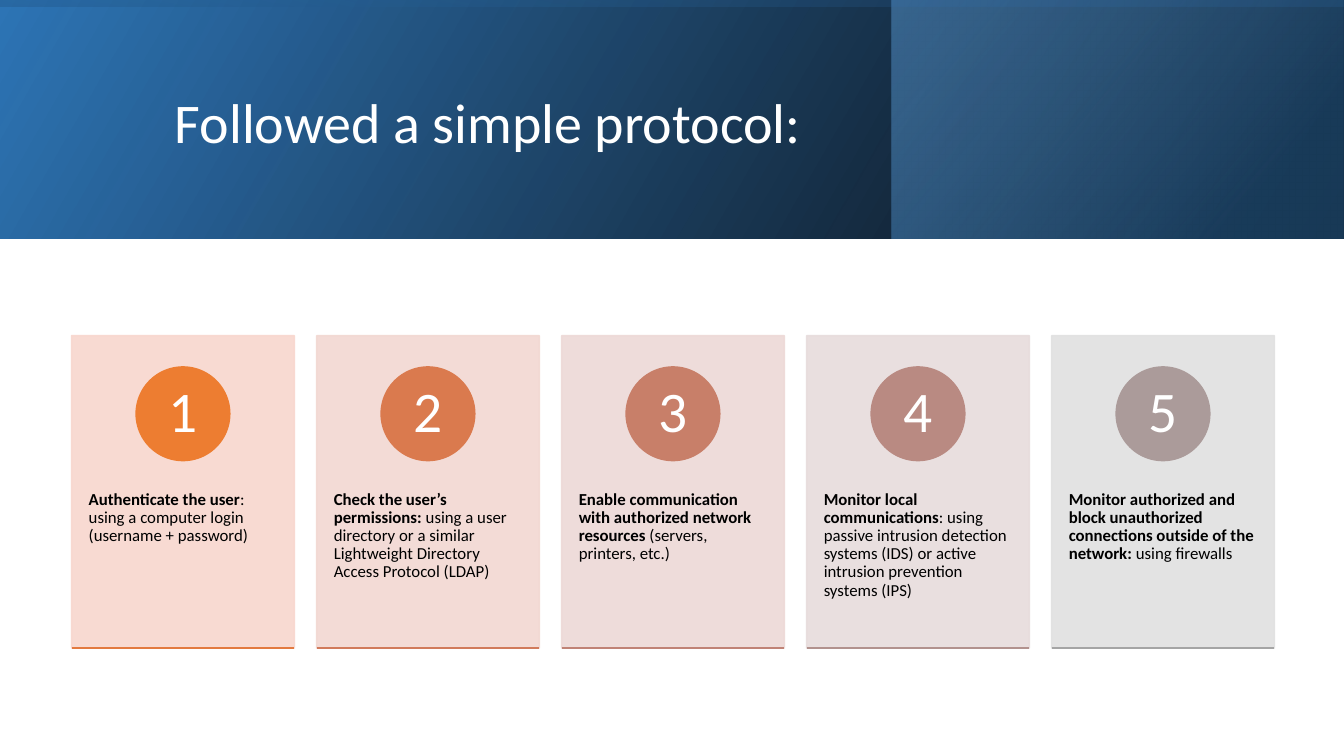
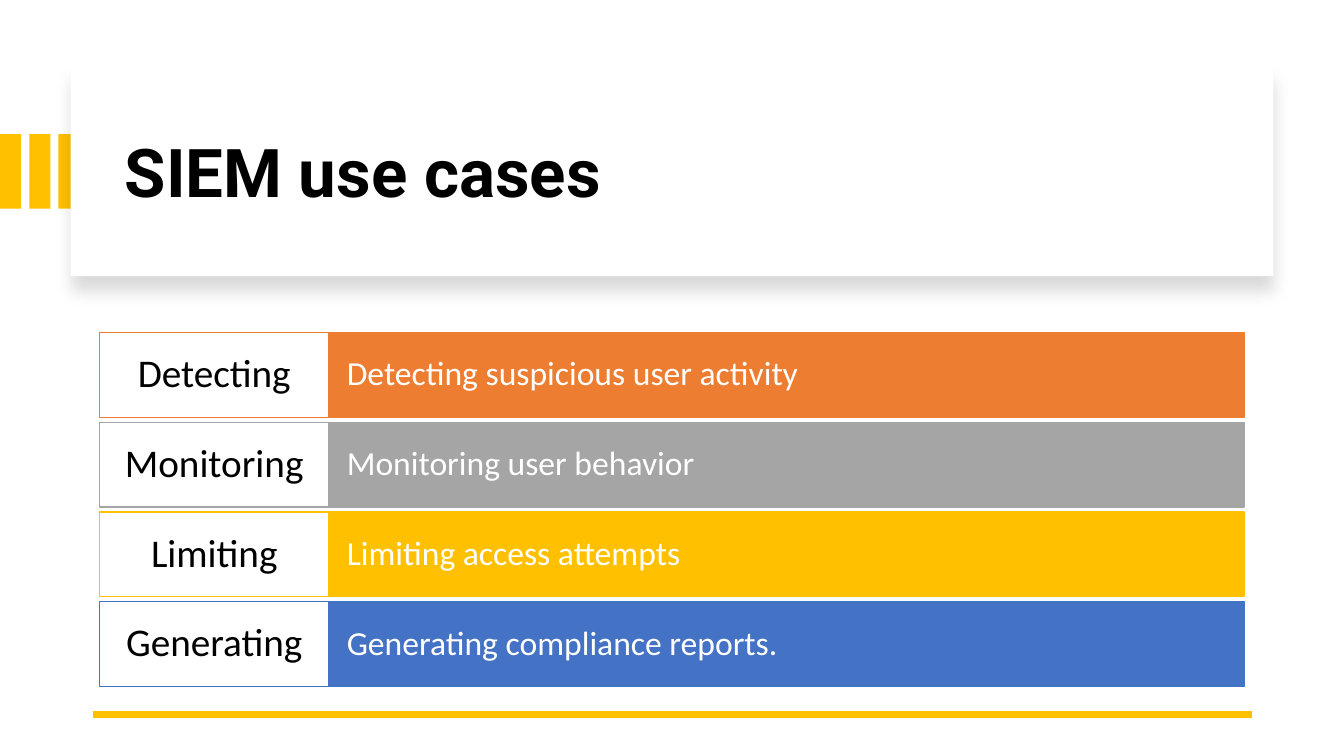
from dataclasses import dataclass
from typing import NamedTuple

import lxml.etree
import pptx
import pptx.dml.color
import pptx.enum.shapes
import pptx.enum.text
import pptx.oxml.ns
import pptx.presentation
import pptx.shapes.autoshape
import pptx.slide
import pptx.util

Inches = pptx.util.Inches
Shape = pptx.shapes.autoshape.Shape
Slide = pptx.slide.Slide
Kind = pptx.enum.shapes.MSO_SHAPE
Align = pptx.enum.text.PP_ALIGN
Anchor = pptx.enum.text.MSO_ANCHOR
qn = pptx.oxml.ns.qn


@dataclass(frozen=True)
class Theme:
    body_font: str = "Calibri"
    heading_font: str = "Roboto"
    white: str = "FFFFFF"
    black: str = "000000"
    blue: str = "2E75B6"
    navy: str = "1F4E79"
    sky: str = "5B9BD5"
    gold: str = "FFC000"
    orange: str = "ED7D31"
    gray: str = "A5A5A5"
    royal: str = "4472C4"
    protocol_title: int = 40
    use_case_title: int = 48
    digit: int = 41
    step: int = 12
    use_case_label: int = 28
    use_case: int = 24
    outline: float = 1
    rule: float = 4.5
    line_spacing: float = 0.9


THEME = Theme()


class Area(NamedTuple):
    left: float
    top: float
    width: float
    height: float


class Insets(NamedTuple):
    left: float = 0.1
    top: float = 0.05
    right: float = 0.1
    bottom: float = 0.05


class Span(NamedTuple):
    text: str
    bold: bool = False


class TextStyle(NamedTuple):
    size: int
    color: str
    font: str = THEME.body_font
    align: Align = Align.LEFT
    anchor: Anchor = Anchor.MIDDLE
    insets: Insets = Insets()


class Stop(NamedTuple):
    position: float
    color: str
    opacity: int


class Band(NamedTuple):
    area: Area
    angle: int  # counter-clockwise, before the flip
    stops: tuple[Stop, Stop]
    rotation: int = 0


class Step(NamedTuple):
    heading: str
    detail: str
    card: str
    disc: str
    rule: str


class UseCase(NamedTuple):
    label: str
    text: str
    color: str


BANDS = (
    Band(Area(0, 0, 13.33, 2.37), 30,
         (Stop(0, THEME.black, 96), Stop(1, THEME.blue, 100))),
    Band(Area(8.84, 0, 4.48, 2.37), 40,
         (Stop(0.19, THEME.navy, 68), Stop(1, THEME.sky, 48))),
    Band(Area(5.48, -5.48, 2.37, 13.33), 10,
         (Stop(0.23, THEME.blue, 16), Stop(0.99, THEME.black, 45)), 270),
)

STEPS = (
    Step("Authenticate the user", ": using a computer login (username + password)",
         "F8D7CE", THEME.orange, "E37A40"),
    Step("Check the user’s permissions:",
         " using a user directory or a similar Lightweight Directory Access Protocol (LDAP)",
         "F2D8D2", "DA7A4E", "D17B5C"),
    Step("Enable communication with authorized network resources",
         " (servers, printers, etc.)", "EDD9D7", "C87F69", "C08376"),
    Step("Monitor local communications",
         ": using passive intrusion detection systems (IDS) or active intrusion "
         "prevention systems (IPS)", "E7DCDC", "B98A82", "B2928E"),
    Step("Monitor authorized and block unauthorized connections outside of the network:",
         " using firewalls", "E1E1E1", "AB9B9A", THEME.gray),
)

USE_CASES = (
    UseCase("Detecting", "Detecting suspicious user activity", THEME.orange),
    UseCase("Monitoring", "Monitoring user behavior", THEME.gray),
    UseCase("Limiting", "Limiting access attempts", THEME.gold),
    UseCase("Generating", "Generating compliance reports.", THEME.royal),
)

STEP_STYLE = TextStyle(THEME.step, THEME.black, anchor=Anchor.TOP,
                       insets=Insets(0.17, 1.54, 0.17, 0.36))
DIGIT_STYLE = TextStyle(THEME.digit, THEME.white, align=Align.CENTER,
                        insets=Insets(0.07, 0.01, 0.07, 0.01))
LABEL_STYLE = TextStyle(THEME.use_case_label, THEME.black, align=Align.CENTER,
                        insets=Insets(0.12, 0.08, 0.12, 0.08))
USE_CASE_STYLE = TextStyle(THEME.use_case, THEME.white,
                           insets=Insets(0.18, 0.21, 0.18, 0.21))


def rgb(color: str) -> pptx.dml.color.RGBColor:
    return pptx.dml.color.RGBColor.from_string(color)


def lengths(area: Area) -> list[pptx.util.Length]:
    return [Inches(value) for value in area]


def write(box: Shape, spans: list[Span], style: TextStyle) -> None:
    frame = box.text_frame
    frame.word_wrap = True
    frame.vertical_anchor = style.anchor
    (frame.margin_left, frame.margin_top,
     frame.margin_right, frame.margin_bottom) = map(Inches, style.insets)
    para = frame.paragraphs[0]
    para.alignment = style.align
    para.line_spacing = THEME.line_spacing
    for span in spans:
        run = para.add_run()
        run.text = span.text
        run.font.name = style.font
        run.font.size = pptx.util.Pt(style.size)
        run.font.bold = span.bold
        run.font.color.rgb = rgb(style.color)


def add_box(page: Slide, area: Area, fill: str, line: str | None = None,
            kind: Kind = Kind.RECTANGLE) -> Shape:
    box = page.shapes.add_shape(kind, *lengths(area))
    box.shadow.inherit = False
    box.fill.solid()
    box.fill.fore_color.rgb = rgb(fill)
    if line:
        box.line.color.rgb = rgb(line)
        box.line.width = pptx.util.Pt(THEME.outline)
    else:
        box.line.fill.background()
    return box


def add_title(page: Slide, area: Area, span: Span, style: TextStyle) -> None:
    write(page.shapes.add_textbox(*lengths(area)), [span], style)


def add_rule(page: Slide, left: float, right: float, top: float,
             color: str, width: float) -> None:
    rule = page.shapes.add_connector(
        pptx.enum.shapes.MSO_CONNECTOR.STRAIGHT,
        Inches(left), Inches(top), Inches(right), Inches(top))
    rule.line.color.rgb = rgb(color)
    rule.line.width = pptx.util.Pt(width)
    lxml.etree.SubElement(rule._element.spPr, qn("a:effectLst"))


def set_opacity(color: lxml.etree.ElementBase, percent: int) -> None:
    lxml.etree.SubElement(color, qn("a:alpha"), val=str(percent * 1000))


def add_band(page: Slide, band: Band) -> None:
    """Draw a mirrored rectangle with a two-stop translucent gradient."""
    box = add_box(page, band.area, THEME.blue)
    box.rotation = band.rotation
    box._element.spPr.find(qn("a:xfrm")).set("flipH", "1")
    box.fill.gradient()
    box.fill.gradient_angle = band.angle
    for target, stop in zip(box.fill.gradient_stops, band.stops):
        target.position = stop.position
        target.color.rgb = rgb(stop.color)
    for color, stop in zip(box._element.spPr.iter(qn("a:srgbClr")), band.stops):
        set_opacity(color, stop.opacity)


def add_drop_shadow(box: Shape) -> None:
    effects = box._element.spPr.find(qn("a:effectLst"))
    shadow = lxml.etree.SubElement(
        effects, qn("a:outerShdw"), blurRad=str(pptx.util.Pt(11)),
        dist=str(pptx.util.Pt(10)), dir="5400000", algn="t", rotWithShape="0")
    color = lxml.etree.SubElement(shadow, qn("a:srgbClr"), val=THEME.black)
    set_opacity(color, 15)


def add_step(page: Slide, number: int, step: Step) -> None:
    width, height, disc = 2.21, 3.1, 0.93
    left, top = 0.71 + 2.43 * (number - 1), 3.33
    card = add_box(page, Area(left, top, width, height), step.card, step.card)
    for color in card._element.spPr.iter(qn("a:srgbClr")):
        set_opacity(color, 90)
    write(card, [Span(step.heading, True), Span(step.detail)], STEP_STYLE)
    circle = add_box(page, Area(left + (width - disc) / 2, top + 0.31, disc, disc),
                     step.disc, step.disc, Kind.OVAL)
    write(circle, [Span(str(number))], DIGIT_STYLE)
    add_rule(page, left, left + width, top + height, step.rule, THEME.outline)


def add_use_case(page: Slide, row: int, case: UseCase) -> None:
    left, label_width, bar_width, height = 0.99, 2.27, 9.08, 0.84
    top = 3.3 + 0.89 * row
    bar = add_box(page, Area(left + label_width, top, bar_width, height),
                  case.color, case.color)
    write(bar, [Span(case.text)], USE_CASE_STYLE)
    label = add_box(page, Area(left, top, label_width, height),
                    THEME.white, case.color)
    write(label, [Span(case.label)], LABEL_STYLE)


def build_protocol(page: Slide) -> None:
    for band in BANDS:
        add_band(page, band)
    add_title(page, Area(1.51, 0.38, 10.63, 1.72), Span(" Followed a simple protocol:"),
              TextStyle(THEME.protocol_title, THEME.white))
    for number, step in enumerate(STEPS, start=1):
        add_step(page, number, step)


def build_use_cases(page: Slide) -> None:
    for index in range(3):
        add_box(page, Area(0.29 * index, 1.33, 0.21, 0.74), THEME.gold)
    add_drop_shadow(add_box(page, Area(0.7, 0.67, 11.93, 2.07), THEME.white))
    add_title(page, Area(1.14, 0.89, 11.13, 1.7), Span("SIEM use cases", True),
              TextStyle(THEME.use_case_title, THEME.black, THEME.heading_font))
    add_rule(page, 0.92, 12.42, 7.09, THEME.gold, THEME.rule)
    for row, case in enumerate(USE_CASES):
        add_use_case(page, row, case)


def main() -> None:
    deck = pptx.Presentation()
    deck.slide_width, deck.slide_height = Inches(13.33), Inches(7.5)
    blank = deck.slide_layouts[6]
    for build in (build_protocol, build_use_cases):
        build(deck.slides.add_slide(blank))
    deck.save("out.pptx")


if __name__ == "__main__":
    main()
